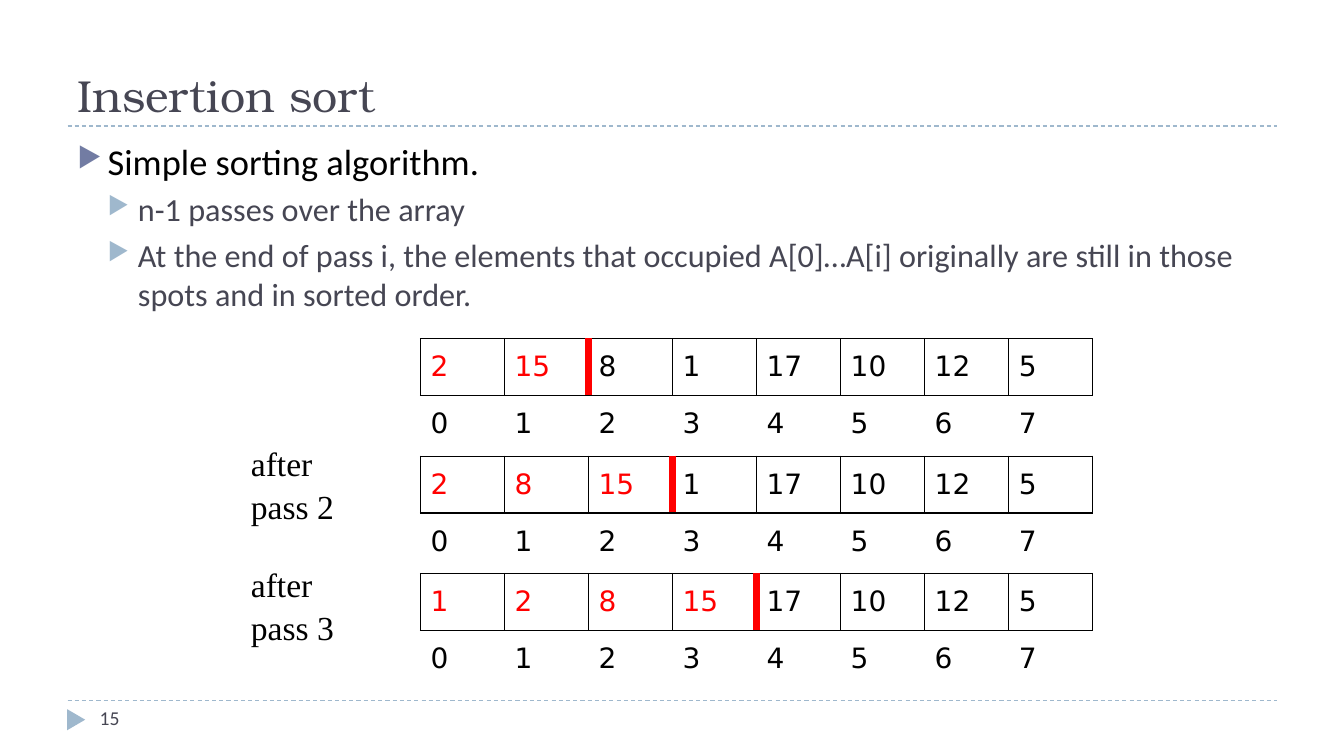
from pptx import Presentation
from pptx.dml.color import RGBColor
from pptx.enum.dml import MSO_LINE
from pptx.enum.shapes import MSO_CONNECTOR, MSO_SHAPE
from pptx.enum.text import MSO_ANCHOR, MSO_AUTO_SIZE
from pptx.oxml.ns import qn
from pptx.util import Inches, Pt
from lxml import etree

DASH = MSO_LINE.DASH
STRAIGHT = MSO_CONNECTOR.STRAIGHT
TRIANGLE = MSO_SHAPE.ISOSCELES_TRIANGLE
TOP, MIDDLE, BOTTOM = MSO_ANCHOR.TOP, MSO_ANCHOR.MIDDLE, MSO_ANCHOR.BOTTOM
GROW = MSO_AUTO_SIZE.SHAPE_TO_FIT_TEXT

TITLE = "Insertion sort"
BULLETS = [
    (0, "Simple sorting algorithm."),
    (1, "n-1 passes over the array"),
    (1, "At the end of pass i, the elements that occupied A[0]…A[i] originally "
        "are still in those spots and in sorted order."),
]
PASSES = [
    {"values": [2, 15, 8, 1, 17, 10, 12, 5], "sorted": 2, "label": []},
    {"values": [2, 8, 15, 1, 17, 10, 12, 5], "sorted": 3, "label": ["after", "pass 2"]},
    {"values": [1, 2, 8, 15, 17, 10, 12, 5], "sorted": 4, "label": ["after", "pass 3"]},
]
PAGE = "15"

THEME = {
    "rule": "9FB8CD", "dark": "464653", "black": "000000", "red": "FF0000",
    "title": ("TeX Gyre Bonum", 32), "page": ("Calibri", 14),
    "cell": ("DejaVu Sans", 20), "label": ("Times New Roman", 24),
    "levels": [
        {"font": ("Calibri", 26), "color": "000000", "bullet": "727CA3", "before": 6},
        {"font": ("Calibri", 23), "color": "464653", "bullet": "9FB8CD", "before": 5},
    ],
    "thin": 1, "thick": 6,
}

LEFT, WIDTH = 0.67, 12
RULES = [1.25, 6.95]
INDENT = 0.3
ARRAY_LEFT, ARRAY_TOP, ARRAY_PITCH = 4.17, 3.36, 1.165
ARRAY_WIDTH, ROW_HEIGHT = 6.67, 0.565
LABEL_LEFT, LABEL_TOP, LABEL_PITCH = 2.39, 4.32, 1.2


def add_run(p, text, font, color):
    r = p.add_run()
    r.text = text
    r.font.name, r.font.size = font[0], Pt(font[1])
    r.font.color.rgb = RGBColor.from_string(color)


def add_text_box(s, x, y, w, h, anchor=TOP, wrap=True):
    tf = s.shapes.add_textbox(Inches(x), Inches(y), Inches(w), Inches(h)).text_frame
    tf.word_wrap = wrap
    tf.vertical_anchor = anchor
    return tf


def paragraph(tf, i):
    return tf.add_paragraph() if i else tf.paragraphs[0]


def add_rule(s, y):
    line = s.shapes.add_connector(STRAIGHT, Inches(LEFT), Inches(y), Inches(LEFT + WIDTH), Inches(y))
    line.line.color.rgb = RGBColor.from_string(THEME["rule"])
    line.line.width = Pt(0.75)
    line.line.dash_style = DASH
    etree.SubElement(line._element.spPr, qn("a:effectLst"))


def set_bullet(p, level, color):
    pPr = p._p.get_or_add_pPr()
    pPr.set("marL", str(Inches(INDENT * (level + 1))))
    pPr.set("indent", str(Inches(-INDENT)))
    clr = etree.SubElement(pPr, qn("a:buClr"))
    etree.SubElement(clr, qn("a:srgbClr"), val=color)
    etree.SubElement(pPr, qn("a:buSzPct"), val="76000")
    etree.SubElement(pPr, qn("a:buChar"), char="▶")


def set_borders(cell, borders):
    tcPr = cell._tc.get_or_add_tcPr()
    for side in "LRTB":
        if side in borders:
            color, width = borders[side]
            ln = etree.SubElement(tcPr, qn("a:ln" + side), w=str(Pt(width)))
            fill = etree.SubElement(ln, qn("a:solidFill"))
            etree.SubElement(fill, qn("a:srgbClr"), val=color)
        else:
            ln = etree.SubElement(tcPr, qn("a:ln" + side), w="0")
            etree.SubElement(ln, qn("a:noFill"))


def fill_cell(cell, value, color, borders):
    set_borders(cell, borders)
    cell.fill.background()
    cell.vertical_anchor = MIDDLE
    add_run(cell.text_frame.paragraphs[0], str(value), THEME["cell"], color)


def add_array(s, top, values, sorted_count):
    table = s.shapes.add_table(2, len(values), Inches(ARRAY_LEFT), Inches(top),
                               Inches(ARRAY_WIDTH), Inches(2 * ROW_HEIGHT)).table
    table.first_row = table.horz_banding = False
    thin = (THEME["black"], THEME["thin"])
    thick = (THEME["red"], THEME["thick"])
    for i, value in enumerate(values):
        borders = dict.fromkeys("LRTB", thin)
        if i == sorted_count - 1:
            borders["R"] = thick
        if i == sorted_count:
            borders["L"] = thick
        color = THEME["red"] if i < sorted_count else THEME["black"]
        fill_cell(table.cell(0, i), value, color, borders)
        fill_cell(table.cell(1, i), i, THEME["black"], {"T": thin})


def main():
    prs = Presentation()
    prs.slide_width, prs.slide_height = Inches(13.33), Inches(7.5)
    s = prs.slides.add_slide(prs.slide_layouts[6])

    for y in RULES:
        add_rule(s, y)
    sp = s.shapes.add_shape(TRIANGLE, Inches(0.65), Inches(7.05), Inches(0.21), Inches(0.18))
    sp.rotation = 90
    sp.shadow.inherit = False
    sp.fill.solid()
    sp.fill.fore_color.rgb = RGBColor.from_string(THEME["rule"])
    sp.line.fill.background()

    tf = add_text_box(s, LEFT, 0.17, WIDTH, 1.08, BOTTOM)
    add_run(tf.paragraphs[0], TITLE, THEME["title"], THEME["dark"])

    tf = add_text_box(s, LEFT, 1.33, WIDTH, 5.4)
    for i, (level, text) in enumerate(BULLETS):
        style = THEME["levels"][level]
        p = paragraph(tf, i)
        p.level = level
        p.space_before = Pt(style["before"])
        set_bullet(p, level, style["bullet"])
        add_run(p, text, style["font"], style["color"])

    for n, step in enumerate(PASSES):
        add_array(s, ARRAY_TOP + n * ARRAY_PITCH, step["values"], step["sorted"])
        if step["label"]:
            tf = add_text_box(s, LABEL_LEFT, LABEL_TOP + (n - 1) * LABEL_PITCH, 1.03, 0.91, wrap=False)
            tf.auto_size = GROW
            for i, text in enumerate(step["label"]):
                p = paragraph(tf, i)
                p.line_spacing = 1.06
                add_run(p, text, THEME["label"], THEME["black"])

    tf = add_text_box(s, 0.89, RULES[1], 2.89, 0.4)
    add_run(tf.paragraphs[0], PAGE, THEME["page"], THEME["dark"])

    prs.save("out.pptx")


if __name__ == "__main__":
    main()
